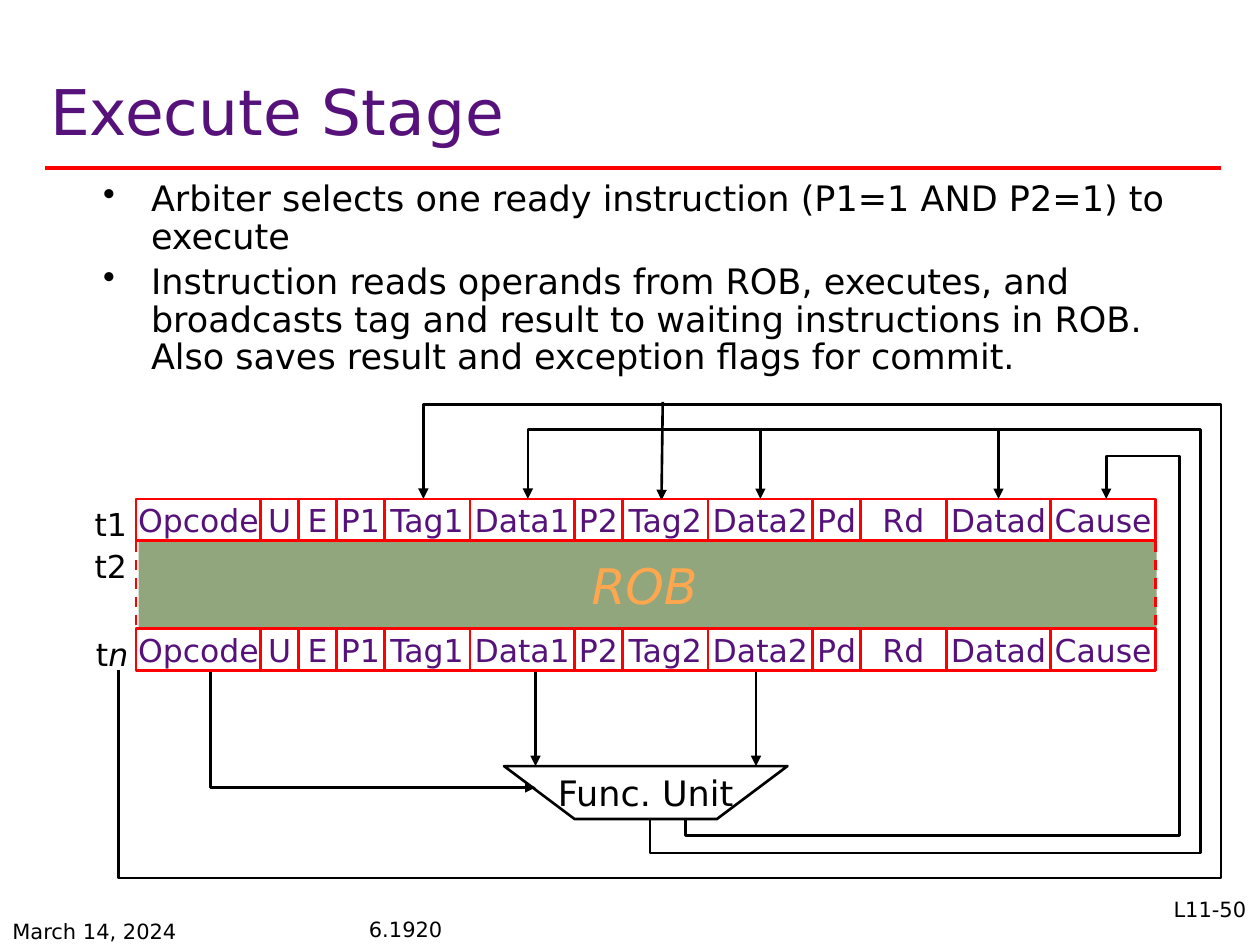
from dataclasses import dataclass

import pptx
import pptx.dml.color
import pptx.enum.dml
import pptx.enum.shapes
import pptx.enum.text
import pptx.oxml
import pptx.oxml.ns
import pptx.util

FONT = "DejaVu Sans"
BLACK, WHITE, RED, PURPLE = "000000", "FFFFFF", "FF0000", "56127A"
ALIGN = pptx.enum.text.PP_ALIGN
ANCHOR = pptx.enum.text.MSO_ANCHOR
RECT = pptx.enum.shapes.MSO_SHAPE.RECTANGLE
LINE = pptx.enum.shapes.MSO_CONNECTOR.STRAIGHT

deck = pptx.Presentation()
deck.slide_width = pptx.util.Inches(10)
deck.slide_height = pptx.util.Inches(7.5)
slide = deck.slides.add_slide(deck.slide_layouts[6])
shapes = slide.shapes
UNIT = deck.slide_width // 1000


@dataclass
class Field:
    """A column of the reorder buffer, its width in grid units."""

    name: str
    width: int


@dataclass
class Label:
    """A text box with its place in grid units and its format."""

    text: str
    box: tuple
    form: dict


@dataclass
class Wire:
    """An arrow that bends at each of its points."""

    points: list


FIELDS = [
    Field("Opcode", 99), Field("U", 30), Field("E", 30), Field("P1", 38),
    Field("Tag1", 68), Field("Data1", 83), Field("P2", 38), Field("Tag2", 68),
    Field("Data2", 83), Field("Pd", 38), Field("Rd", 68), Field("Datad", 83),
    Field("Cause", 83),
]
LEFT, TOP, LAST, HIGH = 108, 396, 499, 33
WIDE = sum(field.width for field in FIELDS)


def grid(*units: float) -> list:
    """Turn grid units, a thousand to the slide's width, into lengths."""
    return [pptx.util.Emu(round(unit * UNIT)) for unit in units]


def color(code: str):
    """Return the colour of a hex string."""
    return pptx.dml.color.RGBColor.from_string(code)


def add(parent, tag: str, **attrs: str):
    """Append a drawing element to a parent element."""
    item = pptx.oxml.parse_xml(f"<a:{tag} {pptx.oxml.ns.nsdecls('a')}/>")
    for key, value in attrs.items():
        item.set(key, value)
    parent.append(item)


def stroke(shape, code: str, size: float = 1.5, dash: bool = False, arrow: bool = False):
    """Set the line of a shape or connector."""
    shape.line.color.rgb = color(code)
    shape.line.width = pptx.util.Pt(size)
    if dash:
        shape.line.dash_style = pptx.enum.dml.MSO_LINE.DASH
    if arrow:
        add(shape.get_or_add_ln(), "tailEnd", type="triangle")


def write(shape, text, size=18, code=BLACK, align=ALIGN.CENTER, anchor=ANCHOR.MIDDLE,
          wrap=False, space=None, gap=0, bullet=False, italic=""):
    """Write paragraphs into a shape, with an optional italic ending."""
    frame = shape.text_frame
    frame.word_wrap = wrap
    frame.vertical_anchor = anchor
    for i, part in enumerate(text.split("\n")):
        para = frame.add_paragraph() if i else frame.paragraphs[0]
        para.alignment = align
        if space:
            para.line_spacing = space
        if i:
            para.space_before = pptx.util.Pt(gap)
        if bullet:
            props = para._p.get_or_add_pPr()
            indent = int(38 * UNIT)
            props.set("marL", str(indent))
            props.set("indent", str(-indent))
            add(props, "buChar", char="•")
        for piece, slant in ((part, False), (italic, True)):
            if piece:
                run = para.add_run()
                run.text = piece
                run.font.name = FONT
                run.font.size = pptx.util.Pt(size)
                run.font.color.rgb = color(code)
                run.font.italic = slant


def block(home, box: tuple, fill: str, edge: str = ""):
    """Draw a flat rectangle."""
    shape = home.add_shape(RECT, *grid(*box))
    shape.shadow.inherit = False
    shape.fill.solid()
    shape.fill.fore_color.rgb = color(fill)
    if edge:
        stroke(shape, edge)
    else:
        shape.line.fill.background()
    return shape


def link(start: tuple, end: tuple, code: str = BLACK, goal=None, **form):
    """Draw a straight connector, joined to the top of a goal if given."""
    line = shapes.add_connector(LINE, *grid(*start, *end))
    if goal is not None:
        line.end_connect(goal, 0)
    stroke(line, code, **form)
    add(line._element.spPr, "effectLst")


def outline(points: list, close: bool = False):
    """Draw a black path through points."""
    pen = shapes.build_freeform(*points[0], scale=UNIT)
    pen.add_line_segments(points[1:], close=close)
    shape = pen.convert_to_shape()
    shape.shadow.inherit = False
    if close:
        shape.fill.solid()
        shape.fill.fore_color.rgb = color(WHITE)
    else:
        shape.fill.background()
    stroke(shape, BLACK, arrow=not close)
    return shape


def entry(top: int) -> dict:
    """Draw one row of the buffer and return its cells by name."""
    home = shapes.add_group_shape().shapes
    cells, left = {}, LEFT
    for field in FIELDS:
        cell = block(home, (left, top, field.width, HIGH), WHITE, RED)
        write(cell, field.name, code=PURPLE)
        cells[field.name] = cell
        left += field.width
    return cells


def label(item: Label):
    """Draw a text box."""
    write(shapes.add_textbox(*grid(*item.box)), item.text, **item.form)


BODY = (
    "Arbiter selects one ready instruction (P1=1 AND P2=1) to execute\n"
    "Instruction reads operands from ROB, executes, and broadcasts tag and result "
    "to waiting instructions in ROB. Also saves result and exception flags for commit."
)
NOTE = dict(size=12, align=ALIGN.LEFT, anchor=ANCHOR.TOP, wrap=True)
LABELS = [
    Label("Execute Stage", (30, 48, 836, 91),
          dict(size=36, code=PURPLE, align=ALIGN.LEFT, wrap=True, space=0.8)),
    Label("t1", (65, TOP, 46, 40), {}),
    Label("t2", (65, TOP + HIGH, 46, 40), {}),
    Label("t", (66, LAST, 46, 40), dict(italic="n")),
    Label("", (459, 436, 105, 57), dict(size=28, code="FFA74F", italic="ROB")),
    Label(BODY, (72, 139, 882, 172),
          dict(NOTE, size=20, space=0.9, gap=4, bullet=True)),
    Label("March 14, 2024", (0, 724, 200, 33), NOTE),
    Label("6.1920", (283, 724, 400, 33), dict(NOTE, space=0.93)),
]
WIRES = [
    Wire([(516, 649), (516, 677), (953, 677), (953, 341), (419, 341), (419, TOP)]),
    Wire([(94, 532), (94, 697), (969, 697), (969, 321), (336, 321), (336, TOP)]),
    Wire([(544, 649), (544, 663), (936, 663), (936, 362), (878, 362), (878, TOP)]),
]

link((36, 133), (969, 133), RED, size=2.25)
unit = outline([(400, 608), (456, 650), (569, 650), (625, 608)], close=True)
write(unit, "Func. Unit", size=20)
for x in (425, 600):
    link((x, 525), (x, 608), arrow=True)
outline([(167, 525), (167, 625), (425, 625)])
block(shapes, (110, 428, 808, 74), "91A67C")
first = entry(TOP)
entry(LAST)
for x in (LEFT, LEFT + WIDE):
    link((x, 415), (x, LAST), RED, dash=True)
link((526, 319), (525, 397), arrow=True)
for name in ("Data2", "Datad"):
    cell = first[name]
    x = (cell.left + cell.width / 2) / UNIT
    link((x, 341), (x, TOP), goal=cell, arrow=True)
for wire in WIRES:
    outline(wire.points)
for item in LABELS:
    label(item)
page = block(shapes, (849, 707, 150, 50), WHITE)
write(page, "L11-50", **dict(NOTE, align=ALIGN.RIGHT))

deck.save("out.pptx")
